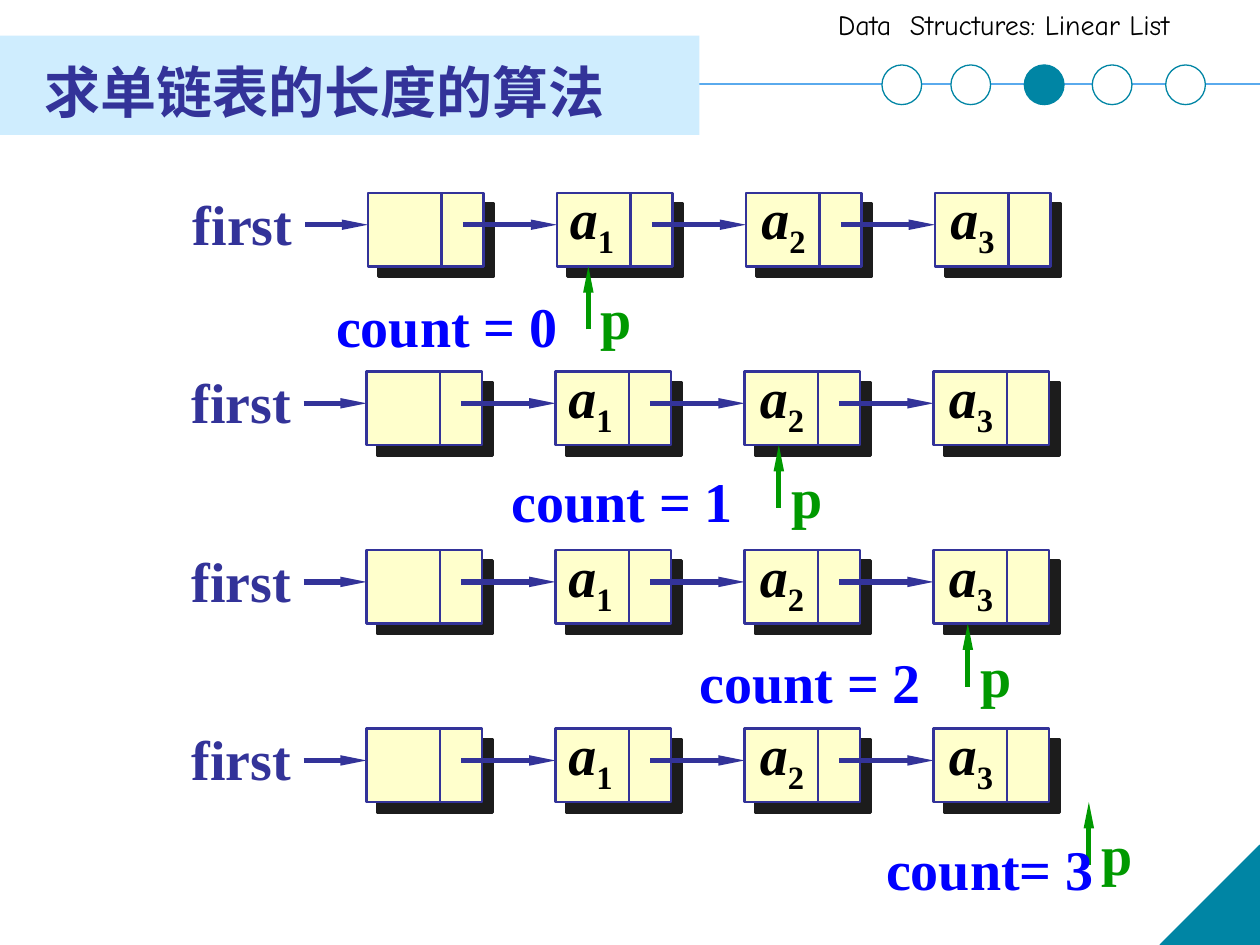
from dataclasses import dataclass

from lxml.etree import SubElement
from pptx import Presentation
from pptx.dml.color import RGBColor
from pptx.enum.shapes import MSO_CONNECTOR, MSO_SHAPE
from pptx.enum.text import MSO_ANCHOR, MSO_AUTO_SIZE, PP_ALIGN
from pptx.oxml.ns import qn
from pptx.util import Cm, Pt


@dataclass(frozen=True)
class Theme:
    navy: str = "333399"
    green: str = "009900"
    blue: str = "0000FF"
    black: str = "000000"
    white: str = "FFFFFF"
    teal: str = "0085A4"
    sky: str = "5AAAED"
    band: str = "CFEDFE"
    cream: str = "FFFFCC"
    shadow: str = "1C1C1C"
    serif: str = "Times New Roman"
    hand: str = "Comic Neue"
    large: int = 32
    small: int = 16


@dataclass(frozen=True)
class Step:
    """One state of the traversal; positions in cm."""
    count: str
    count_left: float
    count_drop: float
    count_width: float
    pointer: float
    shift: float = 0


THEME = Theme()
STEPS = [
    Step("count = 0", 6.5, 1.85, 5.03, 11.86, 0.03),
    Step("count = 1", 10.03, 1.78, 5.03, 15.7),
    Step("count = 2", 13.82, 1.84, 5.03, 19.51),
    Step("count= 3", 17.6, 2.0, 4.72, 21.95),
]
NODE_LEFT, NODE_PITCH, NODE_WIDTH, NODE_HEIGHT = 7.39, 3.81, 2.33, 1.48
ROW_TOP, ROW_PITCH = 3.89, 3.6
DIVIDER, LINK_START, LINK_DROP = 1.48, 1.91, 0.64
LABEL_OFFSETS = [-0.03, 0.02, 0.02]


def color(value: str) -> RGBColor:
    return RGBColor.from_string(value)


def add_line(page, start: tuple, end: tuple, line_color: str, width: float,
             arrow: bool = False) -> None:
    line = page.shapes.add_connector(
        MSO_CONNECTOR.STRAIGHT, *(Cm(value) for value in (*start, *end)))
    line.line.color.rgb = color(line_color)
    line.line.width = Pt(width)
    if arrow:
        SubElement(line.get_or_add_ln(), qn("a:tailEnd"), type="triangle", w="sm", len="lg")
    SubElement(line.element.spPr, qn("a:effectLst"))


def add_shape(page, kind, left: float, top: float, width: float, height: float,
              fill: str, outline: str | None = None, weight: float = 0.75):
    shape = page.shapes.add_shape(kind, Cm(left), Cm(top), Cm(width), Cm(height))
    shape.shadow.inherit = False
    shape.fill.solid()
    shape.fill.fore_color.rgb = color(fill)
    if outline:
        shape.line.color.rgb = color(outline)
        shape.line.width = Pt(weight)
    else:
        shape.line.fill.background()
    return shape


def style_span(span, text_color: str, size: int = THEME.large, name: str = THEME.serif,
               bold: bool = True) -> None:
    span.font.name = name
    span.font.size = Pt(size)
    span.font.bold = bold
    span.font.color.rgb = color(text_color)


def add_label(page, left: float, top: float, width: float, text: str, text_color: str,
              subscript: str = "") -> None:
    box = page.shapes.add_textbox(Cm(left), Cm(top), Cm(width), Cm(1.62))
    frame = box.text_frame
    frame.word_wrap = False
    frame.auto_size = MSO_AUTO_SIZE.SHAPE_TO_FIT_TEXT
    frame.vertical_anchor = MSO_ANCHOR.MIDDLE
    para = frame.paragraphs[0]
    para.text = text
    para.alignment = PP_ALIGN.CENTER
    style_span(para.runs[0], text_color)
    if subscript:
        para.runs[0].font.italic = True
        span = para.add_run()
        span.text = subscript
        style_span(span, text_color)
        span.font._element.set("baseline", "-25000")


def add_node(page, left: float, top: float) -> None:
    node = add_shape(page, MSO_SHAPE.RECTANGLE, left, top, NODE_WIDTH, NODE_HEIGHT,
                     THEME.cream, THEME.navy, 1.5)
    effects = node.element.spPr.find(qn("a:effectLst"))
    shadow = SubElement(effects, qn("a:outerShdw"), blurRad="0", dist=str(Pt(8.5)),
                        dir="2700000", algn="ctr", rotWithShape="0")
    SubElement(shadow, qn("a:srgbClr"), val=THEME.shadow)


def add_step(page, step: Step, top: float) -> None:
    first_left = NODE_LEFT + step.shift
    lefts = [first_left + index * NODE_PITCH for index in range(4)]
    link_y = top + LINK_DROP
    bottom = top + NODE_HEIGHT

    # Linked nodes
    for left in lefts:
        add_node(page, left, top)
        if left != lefts[-1]:
            add_line(page, (left + LINK_START, link_y), (left + NODE_PITCH, link_y),
                     THEME.navy, 3, arrow=True)
        add_line(page, (left + DIVIDER, top), (left + DIVIDER, bottom), THEME.navy, 1.5)

    # Head pointer
    add_line(page, (first_left - 1.27, link_y), (first_left, link_y), THEME.navy, 3, arrow=True)
    add_label(page, first_left - 3.78, top - 0.21, 2.51, "first", THEME.navy)

    # Moving pointer
    add_line(page, (step.pointer, bottom + 1.27), (step.pointer, bottom),
             THEME.green, 3, arrow=True)
    add_label(page, step.pointer, top + 1.7, 1.14, "p", THEME.green)

    # Node values and counter
    for index, offset in enumerate(LABEL_OFFSETS, start=1):
        add_label(page, lefts[index] + offset, top - 0.22, 1.47, "a", THEME.black, str(index))
    add_label(page, step.count_left, top + step.count_drop, step.count_width,
              step.count, THEME.blue)


def add_frame(page) -> None:
    # Rule, corner and title band
    add_line(page, (0, 1.7), (25.4, 1.7), THEME.sky, 1)
    corner = add_shape(page, MSO_SHAPE.RIGHT_TRIANGLE, 23.39, 17.04, 2.01, 2.01,
                       THEME.teal, THEME.teal)
    corner.element.spPr.xfrm.set("flipH", "1")
    add_shape(page, MSO_SHAPE.RECTANGLE, 0, 0.72, 14.1, 2, THEME.band)

    # Course name
    box = page.shapes.add_textbox(Cm(16.64), Cm(0.03), Cm(8.76), Cm(0.94))
    box.text_frame.word_wrap = True
    box.text_frame.auto_size = MSO_AUTO_SIZE.SHAPE_TO_FIT_TEXT
    box.text_frame.text = "Data  Structures: Linear List"
    style_span(box.text_frame.paragraphs[0].runs[0], THEME.black, THEME.small, THEME.hand,
               bold=False)


def add_progress(page, current: int = 2) -> None:
    for index, left in enumerate([17.78, 19.17, 20.65, 22.02, 23.5]):
        fill = THEME.teal if index == current else THEME.white
        add_shape(page, MSO_SHAPE.OVAL, left, 1.31, 0.8, 0.8, fill, THEME.teal)


def format_title(page) -> None:
    title = page.shapes.title
    title.left, title.top, title.width, title.height = Cm(0.64), Cm(-0.05), Cm(22.86), Cm(2.69)
    frame = title.text_frame
    frame.text = "求单链表的长度的算法"
    frame.vertical_anchor = MSO_ANCHOR.BOTTOM
    frame.paragraphs[0].alignment = PP_ALIGN.LEFT
    style_span(frame.paragraphs[0].runs[0], THEME.navy)
    # Bring the title in front of its band
    title.element.getparent().append(title.element)


def main() -> None:
    deck = Presentation()
    deck.slide_width, deck.slide_height = Cm(25.4), Cm(19.05)
    page = deck.slides.add_slide(deck.slide_layouts[5])
    add_frame(page)
    for row, step in enumerate(STEPS):
        add_step(page, step, ROW_TOP + row * ROW_PITCH)
    add_progress(page)
    format_title(page)
    deck.save("out.pptx")


if __name__ == "__main__":
    main()
